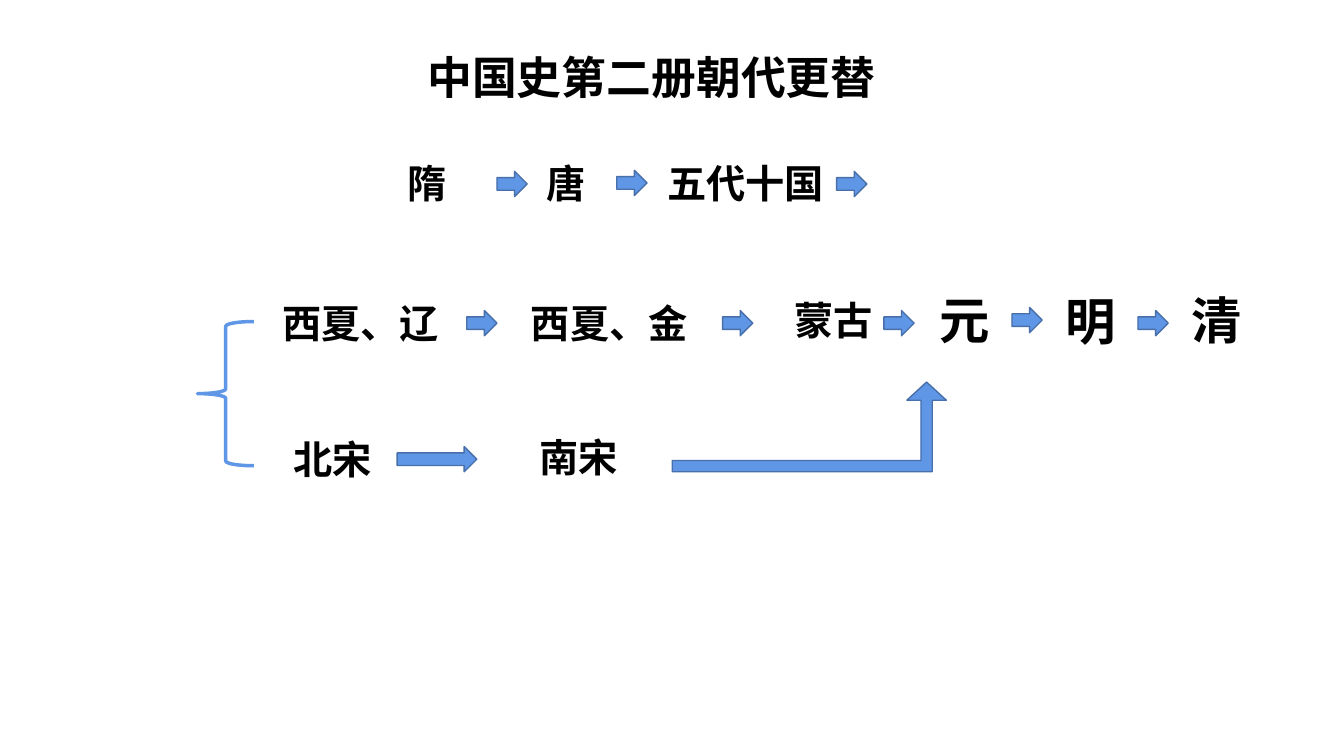
"""Build a slide showing the succession of Chinese dynasties from Sui to Qing."""
from pptx import Presentation
from pptx.dml.color import RGBColor
from pptx.enum.shapes import MSO_SHAPE
from pptx.enum.text import MSO_ANCHOR, MSO_AUTO_SIZE, PP_ALIGN
from pptx.oxml.ns import qn
from pptx.util import Pt

FONT = "Noto Sans CJK SC"
BLUE, DARK_BLUE, BLACK = "6096E6", "476FAA", "000000"
SIDE_INSET = 7.2
ARROW_WIDTH, ARROW_HEIGHT = 21.6, 18

TITLE = ("中国史第二册朝代更替", 298, 31.7, 336, 46)
DYNASTIES = [
    ("隋", 283.7, 110.2, 28),
    ("唐", 383, 110.2, 28),
    ("五代十国", 469.4, 110.2, 28),
    ("西夏、辽", 194.4, 210.2, 28),
    ("西夏、金", 372.2, 210.2, 28),
    ("蒙古", 560.2, 208.1, 28),
    ("元", 663.8, 203, 36),
    ("明", 753.8, 203.8, 36),
    ("清", 843.8, 203, 36),
    ("北宋", 202.3, 307.4, 28),
    ("南宋", 378, 306, 28),
]
SHORT_ARROWS = [
    (355, 122.4), (440.6, 121.7), (597.6, 122.4),
    (333.4, 221.8), (516.2, 221.8), (631.4, 221.8),
    (722.9, 219.6), (812.9, 221.8),
]
SONG_ARROW = (283.7, 319, 56.9, ARROW_HEIGHT)
YUAN_ARROW = (480.2, 272.9, 195.8, 64.1)
YUAN_ARROW_ADJUSTMENTS = (0.126, 0.22, 0.203)
BRACE = (141.1, 229.7, 40.3, 103)
FRAME_FORMAT = {
    "word_wrap": False,
    "auto_size": MSO_AUTO_SIZE.NONE,
    "vertical_anchor": MSO_ANCHOR.MIDDLE,
    "margin_left": Pt(SIDE_INSET),
    "margin_right": Pt(SIDE_INSET),
    "margin_top": 0,
    "margin_bottom": 0,
}
PARAGRAPH_FORMAT = {"alignment": PP_ALIGN.LEFT, "line_spacing": 1.0, "space_before": Pt(0)}


def color(hex_value):
    return RGBColor.from_string(hex_value)


def apply_format(target, values):
    for name, value in values.items():
        setattr(target, name, value)


def write_text(shape, text, size):
    frame = shape.text_frame
    frame.text = text
    apply_format(frame, FRAME_FORMAT)
    paragraph = frame.paragraphs[0]
    apply_format(paragraph, PARAGRAPH_FORMAT)
    font = paragraph.runs[0].font
    apply_format(font, {"name": FONT, "size": Pt(size), "bold": True})
    font.color.rgb = color(BLACK)
    properties = paragraph.runs[0]._r.get_or_add_rPr()
    east_asian = properties.makeelement(qn("a:ea"), {"typeface": FONT})
    properties.find(qn("a:latin")).addnext(east_asian)


def add_figure(slide, kind, box, line=DARK_BLUE, line_width=1, fill=BLUE):
    shape = slide.shapes.add_shape(kind, *map(Pt, box))
    shape.shadow.inherit = False
    if fill:
        shape.fill.solid()
        shape.fill.fore_color.rgb = color(fill)
    else:
        shape.fill.background()
    shape.line.color.rgb = color(line)
    shape.line.width = Pt(line_width)
    return shape


def main():
    presentation = Presentation()
    presentation.slide_width, presentation.slide_height = Pt(960), Pt(540)
    slide = presentation.slides.add_slide(presentation.slide_layouts[5])

    title_text, *title_box = TITLE
    title = slide.shapes.title
    apply_format(title, dict(zip(("left", "top", "width", "height"), map(Pt, title_box))))
    write_text(title, title_text, 32)

    for name, left, top, size in DYNASTIES:
        width = len(name) * size + 2 * SIDE_INSET
        height = size * 1.2 + SIDE_INSET
        label = slide.shapes.add_textbox(Pt(left), Pt(top), Pt(width), Pt(height))
        write_text(label, name, size)

    for left, top in SHORT_ARROWS:
        add_figure(slide, MSO_SHAPE.RIGHT_ARROW, (left, top, ARROW_WIDTH, ARROW_HEIGHT))
    add_figure(slide, MSO_SHAPE.RIGHT_ARROW, SONG_ARROW)
    add_figure(slide, MSO_SHAPE.LEFT_BRACE, BRACE, line=BLUE, line_width=2.5, fill=None)
    yuan_arrow = add_figure(slide, MSO_SHAPE.BENT_UP_ARROW, YUAN_ARROW)
    for index, value in enumerate(YUAN_ARROW_ADJUSTMENTS):
        yuan_arrow.adjustments[index] = value

    presentation.save("out.pptx")


if __name__ == "__main__":
    main()
